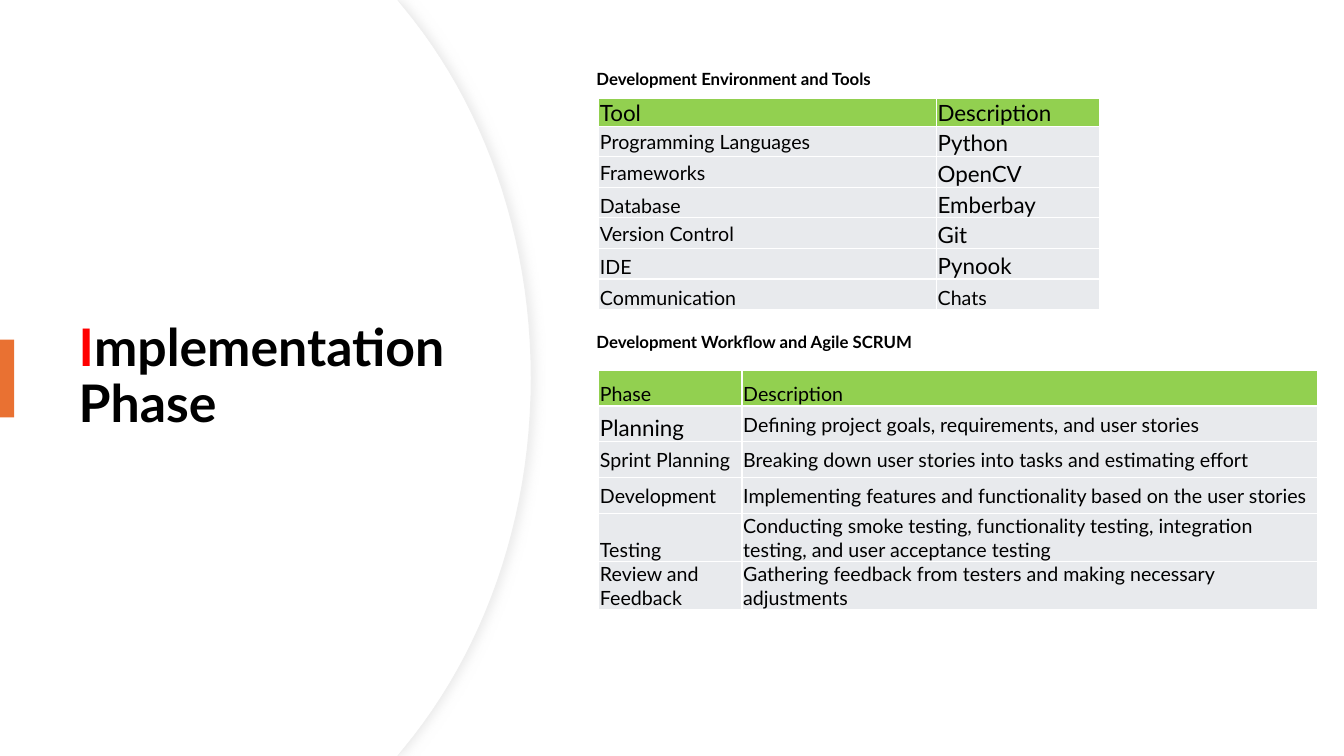
from typing import NamedTuple

from lxml.etree import SubElement
from pptx import Presentation
from pptx.dml.color import RGBColor
from pptx.enum.shapes import MSO_SHAPE as Shape
from pptx.enum.text import MSO_ANCHOR as Anchor, MSO_AUTO_SIZE as AutoSize, PP_ALIGN as Align
from pptx.oxml.ns import qn
from pptx.util import Cm, Pt

SLIDE_WIDTH, SLIDE_HEIGHT = 33.87, 19.05
BLACK, WHITE, RED, ORANGE = "000000", "FFFFFF", "FF0000", "E97132"
GREEN, GREY, EDGE, SHADE = "92D050", "E8EAED", "EFEFEF", "D9D9D9"


class Entry(NamedTuple):
    text: str
    size: int = 14
    anchor: Anchor = Anchor.BOTTOM


def centred(text):
    return Entry(text, anchor=Anchor.MIDDLE)


def large(text):
    return Entry(text, size=16)


TOOLS = [
    (large("Tool"), large("Description")),
    (centred("Programming Languages"), large("Python")),
    (centred("Frameworks"), large("OpenCV")),
    (Entry("Database"), large("Emberbay")),
    (centred("Version Control"), large("Git")),
    (Entry("IDE"), large("Pynook")),
    (Entry("Communication"), Entry("Chats")),
]
PHASES = [
    (Entry("Phase"), Entry("Description")),
    (large("Planning"), centred("Defining project goals, requirements, and user stories")),
    (centred("Sprint Planning"),
     centred("Breaking down user stories into tasks and estimating effort")),
    (centred("Development"),
     centred("Implementing features and functionality based on the user stories")),
    (Entry("Testing"),
     centred("Conducting smoke testing, functionality testing, integration testing, "
             "and user acceptance testing")),
    (centred("Review and Feedback"),
     centred("Gathering feedback from testers and making necessary adjustments")),
]


def colour(hex_code):
    return RGBColor.from_string(hex_code)


def paint(part, hex_code):
    part.fill.solid()
    part.fill.fore_color.rgb = colour(hex_code)


def write(paragraph, text, size=14, color=BLACK, bold=False):
    run = paragraph.add_run()
    run.text = text
    run.font.name = "Lato"
    run.font.size = Pt(size)
    run.font.bold = bold
    run.font.color.rgb = colour(color)


def bezier(start, first, second, end, steps=24):
    for step in range(1, steps + 1):
        t = step / steps
        weights = ((1 - t) ** 3, 3 * t * (1 - t) ** 2, 3 * t * t * (1 - t), t ** 3)
        yield tuple(sum(w * point[axis] for w, point in zip(weights, (start, first, second, end)))
                    for axis in (0, 1))


def add_panel(slide, reach, edge=None):
    bend = reach - 3.2
    corner = (bend, 0.2)
    upper = [(10.01, 0), corner]
    upper += bezier(corner, (reach - 1.22, 2.59), (reach, 5.89), (reach, SLIDE_HEIGHT / 2))
    lower = [(x, SLIDE_HEIGHT - y) for x, y in reversed(upper)]
    outline = upper + lower + [(0, SLIDE_HEIGHT)]
    builder = slide.shapes.build_freeform(0, 0)
    builder.add_line_segments([(Cm(x), Cm(y)) for x, y in outline], close=True)
    panel = builder.convert_to_shape()
    panel.shadow.inherit = False
    paint(panel, WHITE)
    if edge:
        panel.line.color.rgb = colour(edge)
        panel.line.width = Pt(0.75)
    else:
        panel.line.fill.background()
    return panel


def add_soft_shadow(panel):
    effects = panel.element.spPr.find(qn("a:effectLst"))
    shadow = SubElement(effects, qn("a:outerShdw"), blurRad=str(Pt(7)), dist=str(Pt(3)), dir="0")
    tone = SubElement(shadow, qn("a:srgbClr"), val=SHADE)
    SubElement(tone, qn("a:alpha"), val="50000")


def set_title(title):
    title.left, title.top, title.width, title.height = Cm(1.73), Cm(3.23), Cm(10), Cm(12.57)
    title.text_frame.vertical_anchor = Anchor.MIDDLE
    heading = title.text_frame.paragraphs[0]
    heading.alignment = Align.LEFT
    heading.line_spacing = 0.9
    write(heading, "I", size=37, color=RED, bold=True)
    write(heading, "mplementation Phase", size=37, bold=True)


def add_accent(slide):
    accent = slide.shapes.add_shape(Shape.RECTANGLE, 0, Cm(8.56), Cm(0.36), Cm(1.96))
    accent.shadow.inherit = False
    paint(accent, ORANGE)
    accent.line.fill.background()


def add_caption(slide, text, top, width):
    frame = slide.shapes.add_textbox(Cm(14.78), Cm(top), Cm(width), Cm(0.76)).text_frame
    frame.word_wrap = True
    frame.auto_size = AutoSize.SHAPE_TO_FIT_TEXT
    caption = frame.paragraphs[0]
    caption.space_after = Pt(6)
    write(caption, text, size=12, bold=True)


def add_borders(cell):
    properties = cell._tc.get_or_add_tcPr()
    for position, side in enumerate(("lnL", "lnR", "lnT", "lnB")):
        border = SubElement(properties, qn(f"a:{side}"), w=str(Pt(1)))
        SubElement(SubElement(border, qn("a:solidFill")), qn("a:srgbClr"), val=WHITE)
        properties.insert(position, border)


def add_grid(slide, entries, top, widths, heights):
    grid = slide.shapes.add_table(len(entries), len(widths), Cm(15.09), Cm(top),
                                  Cm(sum(widths)), Cm(sum(heights))).table
    grid.first_row = grid.horz_banding = False
    for column, width in zip(grid.columns, widths):
        column.width = Cm(width)
    for index, (row, height) in enumerate(zip(entries, heights)):
        grid.rows[index].height = Cm(height)
        for column, entry in enumerate(row):
            cell = grid.cell(index, column)
            cell.margin_left = cell.margin_right = cell.margin_top = Cm(0.03)
            cell.margin_bottom = 0
            cell.vertical_anchor = entry.anchor
            paint(cell, GREY if index else GREEN)
            add_borders(cell)
            write(cell.text_frame.paragraphs[0], entry.text, size=entry.size)


def main():
    deck = Presentation()
    deck.slide_width, deck.slide_height = Cm(SLIDE_WIDTH), Cm(SLIDE_HEIGHT)
    slide = deck.slides.add_slide(deck.slide_layouts[5])
    title = slide.shapes.title
    back = add_panel(slide, reach=13.39, edge=EDGE)
    add_soft_shadow(back)
    front = add_panel(slide, reach=13.36)
    for panel in (back, front):
        title.element.addprevious(panel.element)
    set_title(title)
    add_accent(slide)
    add_caption(slide, "Development Workflow and Agile SCRUM", top=8.23, width=9.4)
    add_caption(slide, "Development Environment and Tools", top=1.6, width=8.1)
    add_grid(slide, TOOLS, top=2.47, widths=(8.51, 4.11), heights=[0.48] + [0.77] * 6)
    add_grid(slide, PHASES, top=9.33, widths=(3.61, 14.5), heights=[0.9] * 6)
    deck.save("out.pptx")


if __name__ == "__main__":
    main()
